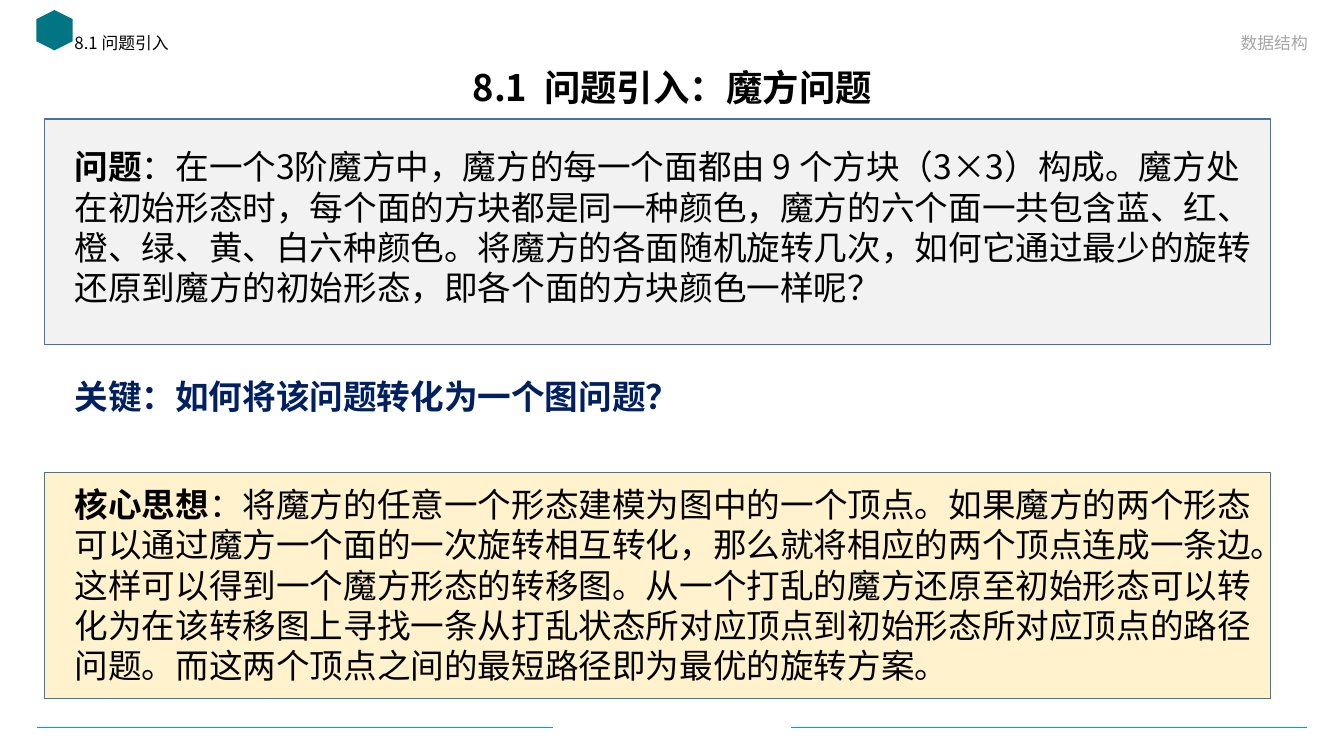
from pptx import Presentation
from pptx.dml.color import RGBColor
from pptx.enum.shapes import MSO_CONNECTOR, MSO_SHAPE
from pptx.enum.text import MSO_ANCHOR, PP_ALIGN
from pptx.oxml.ns import qn
from pptx.util import Inches, Pt

LEFT, CENTER, RIGHT = PP_ALIGN.LEFT, PP_ALIGN.CENTER, PP_ALIGN.RIGHT
TOP, MIDDLE, BOTTOM = MSO_ANCHOR.TOP, MSO_ANCHOR.MIDDLE, MSO_ANCHOR.BOTTOM
RECT, HEXAGON = MSO_SHAPE.RECTANGLE, MSO_SHAPE.HEXAGON
STRAIGHT = MSO_CONNECTOR.STRAIGHT

TITLE = "8.1  问题引入：魔方问题"
SECTION = "8.1 问题引入"
COURSE = "数据结构"
KEY = "关键：如何将该问题转化为一个图问题？"
PROBLEM = (
    "问题",
    "：在一个3阶魔方中，魔方的每一个面都由 9 个方块（3×3）构成。"
    "魔方处在初始形态时，每个面的方块都是同一种颜色，"
    "魔方的六个面一共包含蓝、红、橙、绿、黄、白六种颜色。"
    "将魔方的各面随机旋转几次，如何它通过最少的旋转还原到魔方的初始形态，"
    "即各个面的方块颜色一样呢？",
)
IDEA = (
    "核心思想",
    "：将魔方的任意一个形态建模为图中的一个顶点。"
    "如果魔方的两个形态可以通过魔方一个面的一次旋转相互转化，"
    "那么就将相应的两个顶点连成一条边。这样可以得到一个魔方形态的转移图。"
    "从一个打乱的魔方还原至初始形态可以转化为在该转移图上寻找一条"
    "从打乱状态所对应顶点到初始形态所对应顶点的路径问题。"
    "而这两个顶点之间的最短路径即为最优的旋转方案。",
)

THEME = {
    "font": "Noto Sans CJK SC",
    "black": "000000", "gray": "A6A6A6", "navy": "002060",
    "teal": "00ABA5", "deep_teal": "007684", "border": "43739E",
    "problem": "F2F2F2", "idea": "FFF2CC",
    "title": 26, "body": 24, "small": 12,
}
WIDTH, HEIGHT = 13.33, 7.5
PANEL_X, PANEL_W, PANEL_H = 0.44, 12.16, 2.24
TEXT_X, INSET, PAD = 0.64, 0.1, 0.05
RULE_Y, RULE_W, RULE_MARGIN = 7.22, 5.11, 0.37


def color(name):
    return RGBColor.from_string(THEME[name])


def write(sp, runs, size, ink="black", align=LEFT, anchor=TOP, spacing=1.0,
          insets=(INSET, PAD, INSET, PAD)):
    tf = sp.text_frame
    sides = ("margin_left", "margin_top", "margin_right", "margin_bottom")
    frame = dict(zip(sides, map(Inches, insets)),
                 word_wrap=True, vertical_anchor=anchor)
    for name, value in frame.items():
        setattr(tf, name, value)
    p = tf.paragraphs[0]
    p.alignment, p.line_spacing, p.space_before = align, spacing, Pt(0)
    for text, bold in runs:
        r = p.add_run()
        r.text = text
        fmt = {"name": THEME["font"], "size": Pt(THEME[size]), "bold": bold}
        for name, value in fmt.items():
            setattr(r.font, name, value)
        r.font.color.rgb = color(ink)
        ea = r.font._element.makeelement(qn("a:ea"), {"typeface": THEME["font"]})
        r.font._element.find(qn("a:latin")).addnext(ea)


def add_box(slide, x, y, w, h, runs, size, **style):
    sp = slide.shapes.add_textbox(*map(Inches, (x, y, w, h)))
    write(sp, runs, size, **style)


def add_filled(slide, kind, x, y, w, h, fill):
    sp = slide.shapes.add_shape(kind, *map(Inches, (x, y, w, h)))
    sp.shadow.inherit = False
    sp.fill.solid()
    sp.fill.fore_color.rgb = color(fill)
    return sp


def add_panel(slide, y, fill, content, top):
    sp = add_filled(slide, RECT, PANEL_X, y, PANEL_W, PANEL_H, fill)
    sp.line.color.rgb = color("border")
    sp.line.width = Pt(1)
    lead, detail = content
    left = TEXT_X + INSET - PANEL_X
    write(sp, [(lead, True), (detail, False)], "body", insets=(left, top, 0, 0))


def add_rule(slide, x):
    y = Inches(RULE_Y)
    rule = slide.shapes.add_connector(STRAIGHT, Inches(x), y, Inches(x + RULE_W), y)
    line = rule.line
    line.width = Pt(0.5)
    line.fill.solid()
    line.fill.fore_color.rgb = color("teal")
    sppr = rule._element.spPr
    sppr.append(sppr.makeelement(qn("a:effectLst"), {}))


def main():
    prs = Presentation()
    prs.slide_width, prs.slide_height = Inches(WIDTH), Inches(HEIGHT)
    slide = prs.slides.add_slide(prs.slide_layouts[5])

    for x in (RULE_MARGIN, WIDTH - RULE_MARGIN - RULE_W):
        add_rule(slide, x)
    badge = add_filled(slide, HEXAGON, 0.34, 0.12, 0.4, 0.36, "deep_teal")
    badge.rotation = 90
    badge.line.fill.background()

    title = slide.shapes.title
    place = {"left": 0.92, "top": 0.61, "width": 11.5, "height": 0.57}
    for name, value in place.items():
        setattr(title, name, Inches(value))
    write(title, [(TITLE, True)], "title", align=CENTER, anchor=MIDDLE, spacing=0.9)

    add_box(slide, TEXT_X, 0.3, 5.32, 0.36, [(SECTION, False)], "small", spacing=0.9)
    add_box(slide, 7.43, 0.22, 5.64, 0.35, [(COURSE, False)], "small",
            ink="gray", align=RIGHT, anchor=BOTTOM)

    add_panel(slide, 1.18, "problem", PROBLEM, 0.27)
    add_box(slide, TEXT_X, 3.68, PANEL_W - INSET, 0.5, [(KEY, True)], "body",
            ink="navy")
    add_panel(slide, 4.69, "idea", IDEA, 0.11)
    prs.save("out.pptx")


if __name__ == "__main__":
    main()
